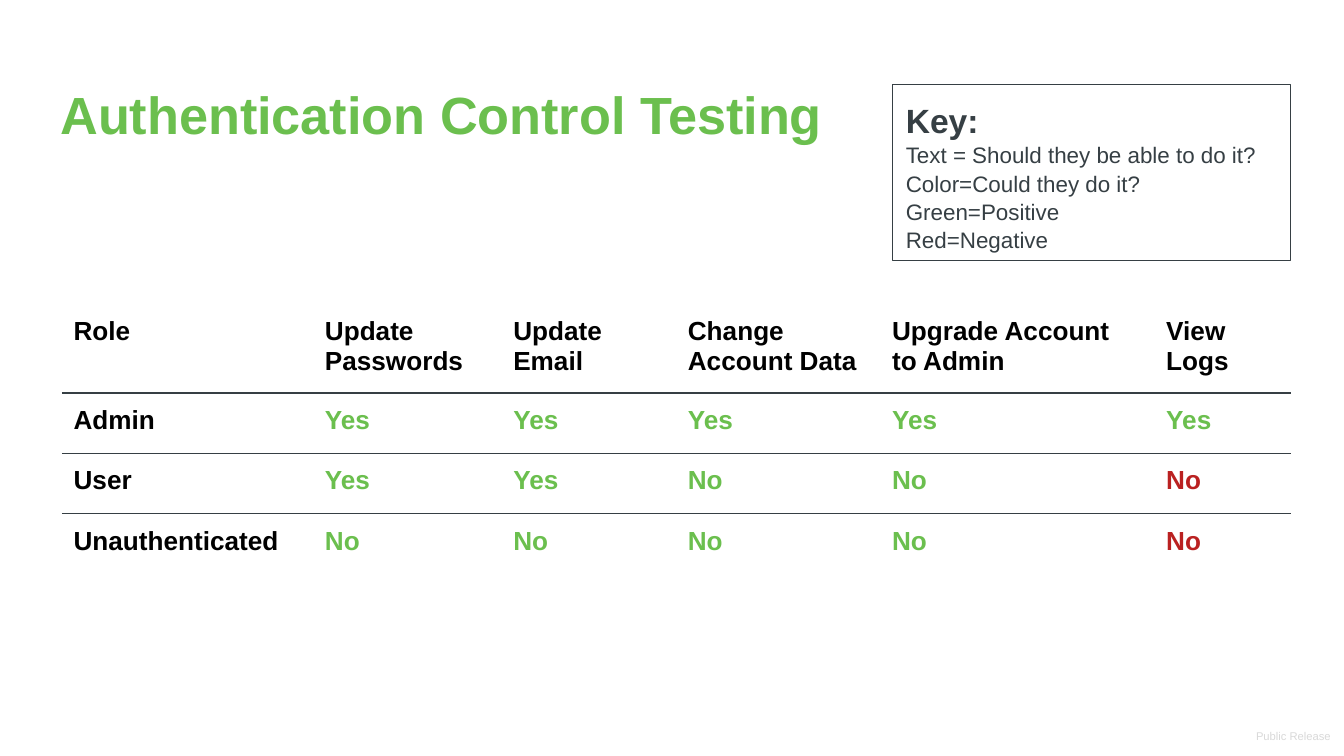
import pptx
import pptx.dml.color
import pptx.enum.shapes
import pptx.enum.text
import pptx.oxml.ns
import pptx.util
from lxml import etree
from pptx.util import Cm, Pt

RGBColor = pptx.dml.color.RGBColor
GREEN = RGBColor(0x6B, 0xBF, 0x4E)
RED = RGBColor(0xBA, 0x21, 0x21)
BLACK = RGBColor(0, 0, 0)
SLATE = RGBColor(0x36, 0x3F, 0x44)
LIGHT_GRAY = RGBColor(0xD9, 0xD9, 0xD9)
INSET = Cm(0.25)

HEADERS = ["Role", "Update Passwords", "Update Email", "Change Account Data",
           "Upgrade Account to Admin", "View Logs"]
PERMISSIONS = [
    ["Admin", "Yes", "Yes", "Yes", "Yes", "Yes"],
    ["User", "Yes", "Yes", "No", "No", "No"],
    ["Unauthenticated", "No", "No", "No", "No", "No"],
]
FAILED_TESTS = {(2, 5), (3, 5)}  # (row, column) where access was wrongly possible
COLUMN_WIDTHS = [4.75, 3.56, 3.3, 3.86, 5.18, 2.54]
ROW_HEIGHTS = [1.68, 1.14, 1.14, 1.14]
KEY_LINES = ["Text = Should they be able to do it?", "Color=Could they do it?",
             "Green=Positive", "Red=Negative"]


def add_run(paragraph, text, size, color, bold=False):
    run = paragraph.add_run()
    run.text = text
    run.font.name = "Arial"
    run.font.size = Pt(size)
    run.font.bold = bold
    run.font.color.rgb = color


def set_frame(frame, anchor=pptx.enum.text.MSO_ANCHOR.TOP):
    frame.word_wrap = True
    frame.auto_size = pptx.enum.text.MSO_AUTO_SIZE.NONE
    frame.vertical_anchor = anchor
    frame.margin_left = frame.margin_right = INSET
    frame.margin_top = frame.margin_bottom = INSET


def set_title(slide, text):
    title = slide.shapes.title
    title.left, title.top, title.width, title.height = Cm(0.89), Cm(1.3), Cm(22.45), Cm(2.03)
    set_frame(title.text_frame)
    paragraph = title.text_frame.paragraphs[0]
    paragraph.alignment = pptx.enum.text.PP_ALIGN.LEFT
    add_run(paragraph, text, 28, GREEN, bold=True)


def add_release_label(slide):
    box = slide.shapes.add_textbox(Cm(17.07), Cm(13.55), Cm(8.33), Cm(0.74))
    set_frame(box.text_frame, pptx.enum.text.MSO_ANCHOR.BOTTOM)
    paragraph = box.text_frame.paragraphs[0]
    paragraph.alignment = pptx.enum.text.PP_ALIGN.RIGHT
    add_run(paragraph, "Public Release", 6, LIGHT_GRAY)


def add_permission_table(slide):
    rows = [HEADERS] + PERMISSIONS
    table = slide.shapes.add_table(
        len(rows), len(HEADERS), Cm(1.14), Cm(5.74),
        Cm(sum(COLUMN_WIDTHS)), Cm(sum(ROW_HEIGHTS))).table
    table.first_row = table.horz_banding = False
    for column, width in zip(table.columns, COLUMN_WIDTHS):
        column.width = Cm(width)
    for row, height in zip(table.rows, ROW_HEIGHTS):
        row.height = Cm(height)
    for row_index, texts in enumerate(rows):
        for column_index, text in enumerate(texts):
            cell = table.cell(row_index, column_index)
            cell.fill.background()
            cell.margin_left = cell.margin_right = INSET
            cell.margin_top = cell.margin_bottom = INSET
            if row_index == 0 or column_index == 0:
                color = BLACK
            else:
                color = RED if (row_index, column_index) in FAILED_TESTS else GREEN
            add_run(cell.text_frame.paragraphs[0], text, 14, color, bold=True)


def add_key(slide):
    box = slide.shapes.add_shape(pptx.enum.shapes.MSO_SHAPE.RECTANGLE,
                                 Cm(16.87), Cm(1.6), Cm(7.52), Cm(3.33))
    box.shadow.inherit = False
    box.fill.background()
    box.line.color.rgb = SLATE
    box.line.width = Pt(0.75)
    frame = box.text_frame
    set_frame(frame)
    add_run(frame.paragraphs[0], "Key:", 18, SLATE, bold=True)
    for line in KEY_LINES:
        add_run(frame.add_paragraph(), line, 12, SLATE)
    for paragraph in frame.paragraphs:
        paragraph.alignment = pptx.enum.text.PP_ALIGN.LEFT
        paragraph.line_spacing = 1.05


def add_row_rule(slide, top):
    rule = slide.shapes.add_connector(pptx.enum.shapes.MSO_CONNECTOR.STRAIGHT,
                                      Cm(1.17), Cm(top), Cm(24.39), Cm(top))
    rule.line.color.rgb = SLATE
    rule.line.width = Pt(0.75)
    etree.SubElement(rule._element.spPr, pptx.oxml.ns.qn("a:effectLst"))


def main():
    presentation = pptx.Presentation()
    presentation.slide_width = Cm(25.4)
    presentation.slide_height = Cm(14.29)
    slide = presentation.slides.add_slide(presentation.slide_layouts[5])
    add_release_label(slide)
    set_title(slide, "Authentication Control Testing")
    add_permission_table(slide)
    add_key(slide)
    for index in range(len(PERMISSIONS)):
        add_row_rule(slide, 7.43 + 1.14 * index)
    presentation.save("out.pptx")


if __name__ == "__main__":
    main()
